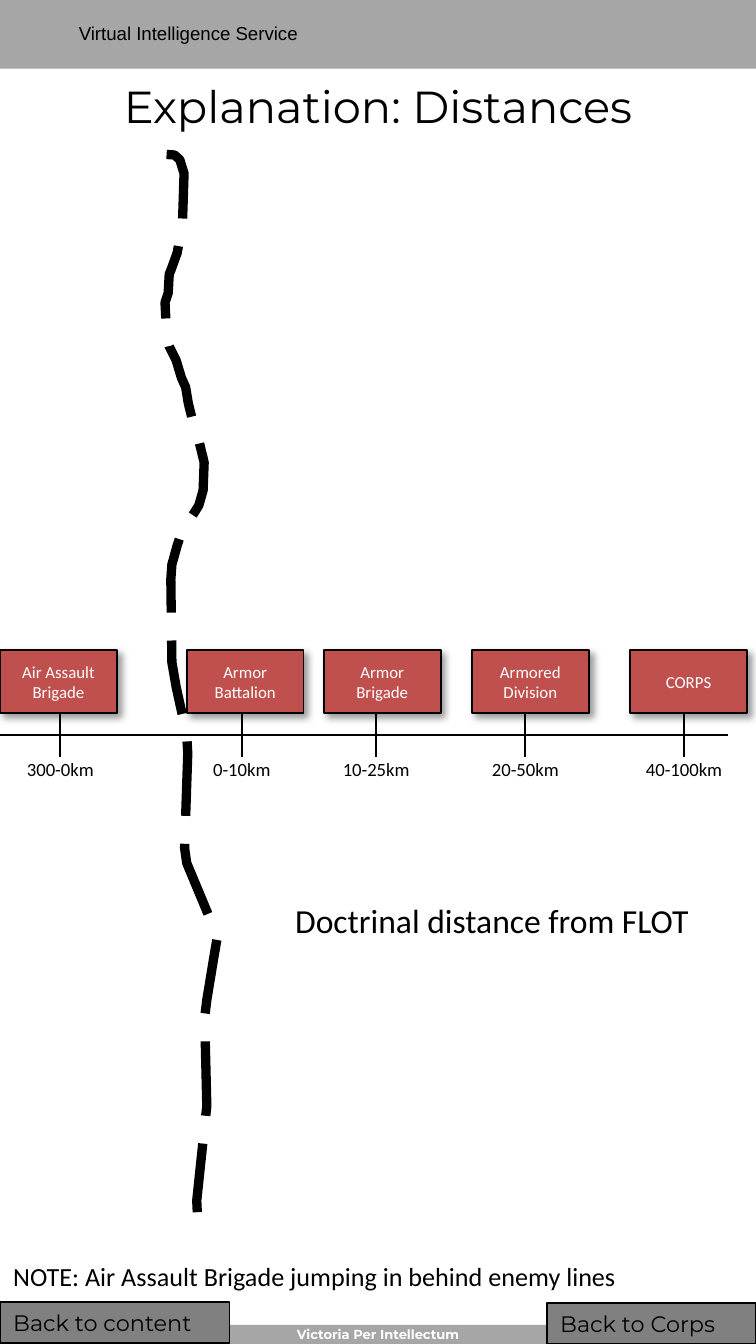
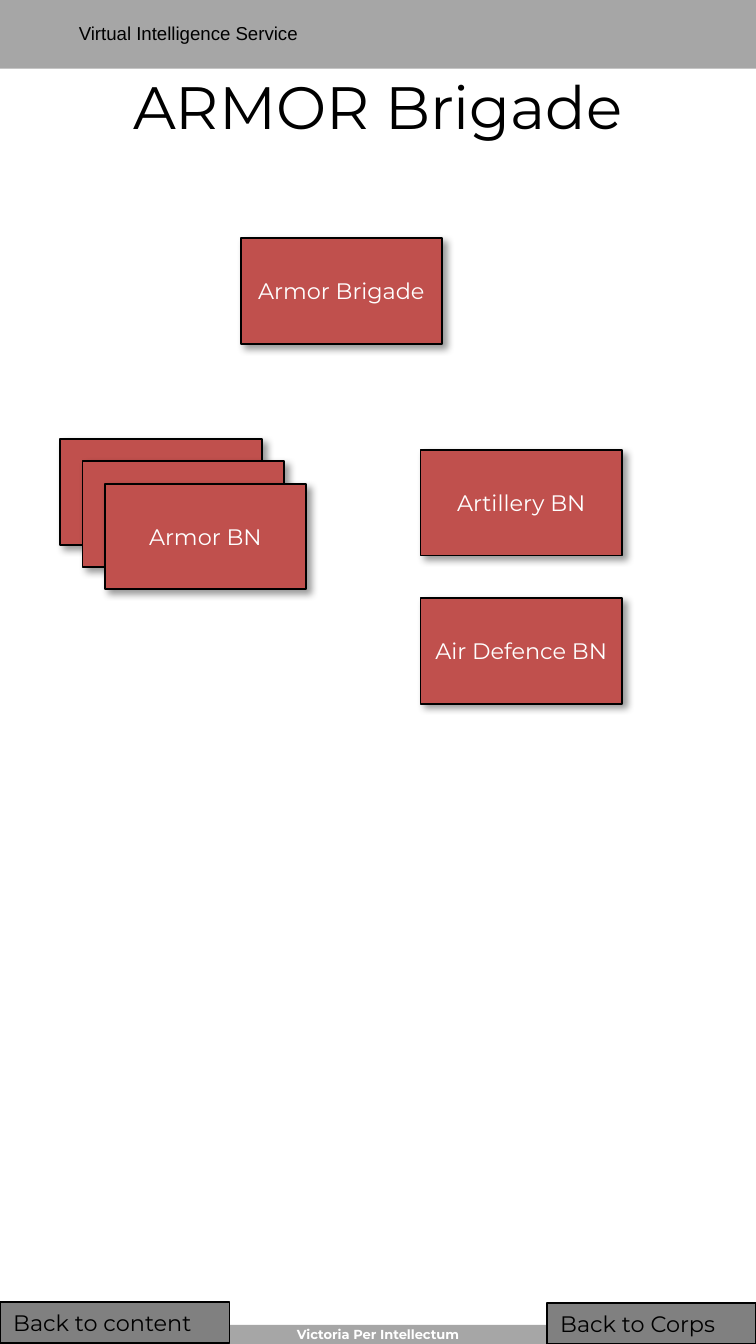
"""Build two slides on doctrinal distances and the structure of an armor brigade."""
import pptx
import pptx.dml.color
import pptx.enum.shapes
import pptx.enum.text
import pptx.oxml
import pptx.oxml.ns
import pptx.util

Cm = pptx.util.Cm
Pt = pptx.util.Pt
RGBColor = pptx.dml.color.RGBColor
ALIGN = pptx.enum.text.PP_ALIGN
ANCHOR = pptx.enum.text.MSO_ANCHOR
GROW = pptx.enum.text.MSO_AUTO_SIZE.SHAPE_TO_FIT_TEXT

BLACK = RGBColor(0x00, 0x00, 0x00)
WHITE = RGBColor(0xFF, 0xFF, 0xFF)
BAND_GREY = RGBColor(0xA6, 0xA6, 0xA6)
BUTTON_GREY = RGBColor(0x80, 0x80, 0x80)
UNIT_RED = RGBColor(0xC0, 0x50, 0x4D)

PAGE_WIDTH, PAGE_HEIGHT = 14.29, 25.4
NO_MARGINS = dict.fromkeys(("margin_left", "margin_top", "margin_right", "margin_bottom"), 0)
UNIT_SHADOW = (
    f'<a:effectLst {pptx.oxml.ns.nsdecls("a")}>'
    '<a:outerShdw blurRad="50800" dist="38100" dir="2700000" algn="tl" rotWithShape="0">'
    '<a:srgbClr val="000000"><a:alpha val="40000"/></a:srgbClr>'
    "</a:outerShdw></a:effectLst>"
)

BAND = {"fill": BAND_GREY}
BRAND = {"font": {"name": "Arial", "size": Pt(10)}, "frame": {"auto_size": GROW}}
MOTTO = {
    "font": {"name": "Montserrat", "size": Pt(7), "bold": True},
    "color": WHITE,
    "align": ALIGN.CENTER,
    "frame": {"auto_size": GROW, **NO_MARGINS},
}
BUTTON = {
    "fill": BUTTON_GREY,
    "outlined": True,
    "font": {"name": "Montserrat", "size": Pt(12)},
    "frame": {"auto_size": GROW, "vertical_anchor": ANCHOR.TOP},
}
UNIT = {
    "fill": UNIT_RED,
    "outlined": True,
    "shadow": True,
    "font": {"name": "Montserrat", "size": Pt(12)},
    "color": WHITE,
    "align": ALIGN.CENTER,
    "frame": {"vertical_anchor": ANCHOR.MIDDLE},
}
TIMELINE_UNIT = {**UNIT, "font": {"name": "Calibri", "size": Pt(9)}}
DISTANCE = {
    "font": {"name": "Calibri", "size": Pt(10)},
    "align": ALIGN.CENTER,
    "frame": {"auto_size": GROW, **NO_MARGINS},
}
CAPTION = {"font": {"name": "Calibri", "size": Pt(18)}, "frame": {"auto_size": GROW}}
NOTE = {**CAPTION, "font": {"name": "Calibri", "size": Pt(14)}}


def add_box(slide, text, left, top, width, height, style):
    place = Cm(left), Cm(top), Cm(width), Cm(height)
    if "fill" in style:
        box = slide.shapes.add_shape(pptx.enum.shapes.MSO_SHAPE.RECTANGLE, *place)
        box.fill.solid()
        box.fill.fore_color.rgb = style["fill"]
        if style.get("outlined"):
            box.line.color.rgb = BLACK
            box.line.width = Pt(1)
        else:
            box.line.fill.background()
        if style.get("shadow"):
            box.element.spPr.append(pptx.oxml.parse_xml(UNIT_SHADOW))
        else:
            box.shadow.inherit = False
    else:
        box = slide.shapes.add_textbox(*place)
    if text:
        frame = box.text_frame
        frame.word_wrap = True
        for name, value in style["frame"].items():
            setattr(frame, name, value)
        paragraph = frame.paragraphs[0]
        paragraph.text = text
        paragraph.alignment = style.get("align", ALIGN.LEFT)
        for name, value in style["font"].items():
            setattr(paragraph.font, name, value)
        paragraph.font.color.rgb = style.get("color", BLACK)
    return box


def add_rule(slide, x1, y1, x2, y2):
    rule = slide.shapes.add_connector(
        pptx.enum.shapes.MSO_CONNECTOR.STRAIGHT, Cm(x1), Cm(y1), Cm(x2), Cm(y2)
    )
    rule.line.color.rgb = BLACK
    rule.line.width = Pt(1)
    rule.element.spPr.append(
        pptx.oxml.parse_xml(f'<a:effectLst {pptx.oxml.ns.nsdecls("a")}/>')
    )


deck = pptx.Presentation()
deck.slide_width = Cm(PAGE_WIDTH)
deck.slide_height = Cm(PAGE_HEIGHT)
title_only = deck.slide_layouts[5]
distances = deck.slides.add_slide(title_only)
brigade = deck.slides.add_slide(title_only)

for text, left, top, width, height, style in (
    ("", 0, 0, PAGE_WIDTH, 1.3, BAND),
    ("", 0, 25.04, PAGE_WIDTH, 0.36, BAND),
    ("Virtual Intelligence Service", 1.24, 0.28, 9.8, 0.69, BRAND),
    ("Victoria Per Intellectum", 0, 25.07, PAGE_WIDTH, 0.3, MOTTO),
):
    shared = add_box(distances, text, left, top, width, height, style)
    title_only.shapes.element.append(shared.element)

for slide, heading, size in (
    (distances, "Explanation: Distances", 24),
    (brigade, "ARMOR Brigade", 32),
):
    title = slide.shapes.title
    place = {"left": Cm(0), "top": Cm(1.3), "width": Cm(PAGE_WIDTH), "height": Cm(1.4)}
    for name, value in place.items():
        setattr(title, name, value)
    title.text_frame.text = heading
    title.text_frame.vertical_anchor = ANCHOR.MIDDLE
    title.text_frame.auto_size = pptx.enum.text.MSO_AUTO_SIZE.NONE
    paragraph = title.text_frame.paragraphs[0]
    paragraph.alignment = ALIGN.CENTER
    for name, value in {"name": "Montserrat", "size": Pt(size)}.items():
        setattr(paragraph.font, name, value)
    paragraph.font.color.rgb = BLACK

FRONT_LINE = (
    (315, 292), (330, 293), (340, 302), (348, 328), (345, 422), (335, 478),
    (323, 511), (320, 518), (318, 554), (312, 572), (315, 632), (320, 655),
    (333, 681), (343, 714), (351, 732), (356, 762), (366, 803), (376, 833),
    (386, 874), (384, 927), (376, 955), (368, 968), (356, 986), (345, 1001),
    (335, 1031), (325, 1067), (323, 1095), (325, 1252), (333, 1298), (353, 1389),
    (355, 1424), (349, 1603), (353, 1631), (411, 1770), (404, 1811), (391, 1890),
    (387, 1923), (391, 2090), (380, 2193), (372, 2269), (373, 2291),
)
front_builder = distances.shapes.build_freeform(*FRONT_LINE[0], scale=Cm(0.01))
front_builder.add_line_segments(FRONT_LINE[1:], close=False)
front = front_builder.convert_to_shape()
front.fill.background()
front.shadow.inherit = False
front.line.color.rgb = BLACK
front.line.width = Pt(5)
front.line.dash_style = pptx.enum.dml.MSO_LINE.LONG_DASH

UNIT_TOP, UNIT_WIDTH, UNIT_HEIGHT = 12.29, 2.21, 1.19
STEM_TOP, AXIS, STEM_BOTTOM = 13.48, 13.89, 14.3
add_rule(distances, 0, AXIS, 13.77, AXIS)
for unit, unit_left, stem, distance, distance_width in (
    ("Air Assault Brigade", 0, 1.14, "300-0km", 1.6),
    ("Armor Battalion", 3.53, 4.57, "0-10km", 1.2),
    ("Armor Brigade", 6.12, 7.11, "10-25km", 1.4),
    ("Armored Division", 8.92, 9.93, "20-50km", 1.4),
    ("CORPS", 11.91, 12.93, "40-100km", 1.7),
):
    add_box(distances, unit, unit_left, UNIT_TOP, UNIT_WIDTH, UNIT_HEIGHT, TIMELINE_UNIT)
    add_rule(distances, stem, STEM_TOP, stem, STEM_BOTTOM)
    distance_left = stem - distance_width / 2
    add_box(distances, distance, distance_left, 14.33, distance_width, 0.43, DISTANCE)

add_box(distances, "Doctrinal distance from FLOT", 5.33, 16.89, 9.14, 1.02, CAPTION)
add_box(
    distances, "NOTE: Air Assault Brigade jumping in behind enemy lines",
    0, 23.7, PAGE_WIDTH, 0.86, NOTE,
)

STACK_STEP = 0.42
stack = [("Armor BN", 1.14 + STACK_STEP * i, 8.3 + STACK_STEP * i) for i in range(3)]
for unit, left, top in stack + [
    ("Artillery BN", 7.95, 8.5),
    ("Air Defence BN", 7.95, 11.3),
    ("Armor Brigade", 4.55, 4.5),
]:
    add_box(brigade, unit, left, top, 3.81, 2, UNIT)

for slide in (distances, brigade):
    add_box(slide, "Back to content", 0, 24.61, 4.34, 0.77, BUTTON)
    add_box(slide, "Back to Corps", 10.34, 24.63, 3.95, 0.77, BUTTON)

deck.save("out.pptx")
